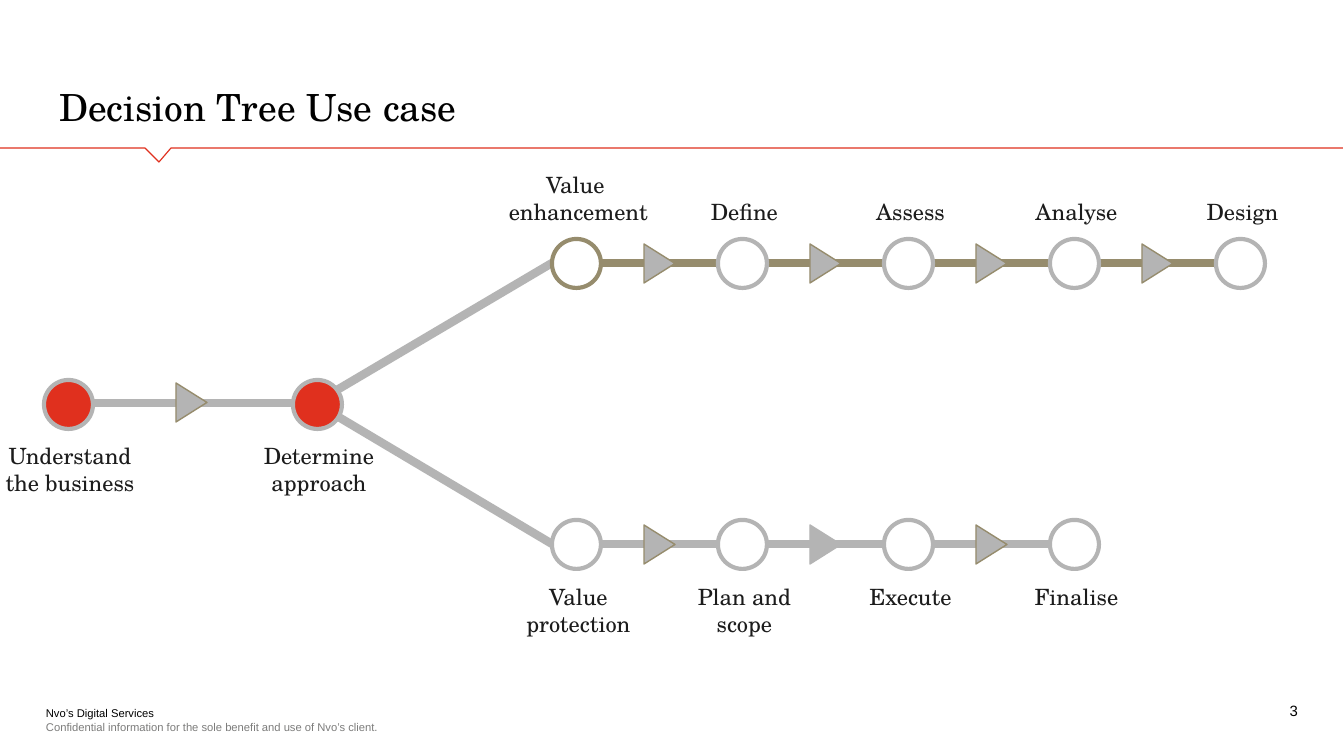
"""Build the decision tree slide with its two branches of steps."""
import pptx
import pptx.util
import pptx.dml.color
import pptx.enum.shapes
import pptx.enum.text
import pptx.oxml.ns
import lxml.etree

PIXEL = 914400 / 134.4
SERIF = "TeX Gyre Schola"
GREY, TAN, RED, WHITE, INK = "B4B4B4", "968C6D", "E0301E", "FFFFFF", "1C1C1C"
SHAPES = pptx.enum.shapes.MSO_SHAPE
ANCHOR = pptx.enum.text.MSO_ANCHOR
ALIGN = pptx.enum.text.PP_ALIGN
RGB = pptx.dml.color.RGBColor.from_string

deck = pptx.Presentation()
deck.slide_width = round(1344 * PIXEL)
deck.slide_height = round(756 * PIXEL)
page = deck.slides.add_slide(deck.slide_layouts[6])


def add_text(text, *, at, size=12, font=SERIF, color=INK, align=ALIGN.LEFT,
             anchor=ANCHOR.TOP, inset=(0, 0), wrap=True):
    box = page.shapes.add_textbox(*[round(value * PIXEL) for value in at])
    frame = box.text_frame
    frame.word_wrap = wrap
    frame.vertical_anchor = anchor
    frame.margin_left = frame.margin_right = pptx.util.Inches(inset[0])
    frame.margin_top = frame.margin_bottom = pptx.util.Inches(inset[1])
    para = frame.paragraphs[0]
    para.alignment = align
    for index, line in enumerate(text.split("\n")):
        if index:
            para.add_line_break()
        span = para.add_run()
        span.text = line
        span.font.size = pptx.util.Pt(size)
        span.font.name = font
        span.font.color.rgb = RGB(color)


def add_mark(kind, at, fill, line, width, turn=0):
    mark = page.shapes.add_shape(kind, *[round(value * PIXEL) for value in at])
    mark.rotation = turn
    mark.shadow.inherit = False
    mark.fill.solid()
    mark.fill.fore_color.rgb = RGB(fill)
    mark.line.color.rgb = RGB(line)
    mark.line.width = pptx.util.Pt(width)


add_text("Nvo’s Digital Services", at=(46, 706, 376, 13), size=6, font="Arial", color="000000")

pen = page.shapes.build_freeform(1343, 148, scale=PIXEL)
pen.add_line_segments([(171, 148), (159, 162), (145, 148), (0, 148)], close=False)
rule = pen.convert_to_shape()
rule.shadow.inherit = False
rule.fill.background()
rule.line.color.rgb = RGB(RED)
rule.line.width = pptx.util.Pt(0.63)

add_text("Confidential information for the sole benefit and use of Nvo’s client.",
         at=(46, 721, 426, 13), size=6, font="Arial", color="7C7C7B", anchor=ANCHOR.MIDDLE)
add_text("3", at=(985, 702, 313, 17), size=8, font="Arial", color="000000",
         align=ALIGN.RIGHT, anchor=ANCHOR.MIDDLE)

tracks = [
    (315, 403, 552, 263, GREY),
    (569, 263, 1239, 263, TAN),
    (569, 544, 1087, 544, GREY),
    (315, 403, 552, 544, GREY),
    (63, 403, 312, 403, GREY),
]
for *ends, color in tracks:
    track = page.shapes.add_connector(pptx.enum.shapes.MSO_CONNECTOR.STRAIGHT,
                                      *[round(value * PIXEL) for value in ends])
    track.line.color.rgb = RGB(color)
    track.line.width = pptx.util.Pt(4.5)
    properties = track._element.spPr
    lxml.etree.SubElement(properties, pptx.oxml.ns.qn("a:effectLst"))

STEP = 166
branches = [
    (239, 165, ANCHOR.BOTTOM, ["Value \nenhancement", "Define", "Assess", "Analyse", "Design"],
     [TAN, GREY, GREY, GREY, GREY], [TAN, TAN, TAN, TAN]),
    (520, 583, ANCHOR.TOP, ["Value\nprotection", "Plan and\nscope", "Execute", "Finalise"],
     [GREY, GREY, GREY, GREY], [TAN, GREY, TAN]),
]
for top, label_top, anchor, labels, rings, arrows in branches:
    for index, (label, ring) in enumerate(zip(labels, rings)):
        shift = index * STEP
        add_mark(SHAPES.OVAL, (552 + shift, top, 49, 49), WHITE, ring, 2.25)
        add_text(label, at=(493 + shift, label_top, 171, 60), align=ALIGN.CENTER, anchor=anchor)
    for index, outline in enumerate(arrows):
        add_mark(SHAPES.ISOSCELES_TRIANGLE, (640 + index * STEP, top + 9, 39, 31),
                 GREY, outline, 0.75, turn=90)

add_mark(SHAPES.ISOSCELES_TRIANGLE, (172, 387, 39, 31), GREY, TAN, 0.75, turn=90)
for index, label in enumerate(["Understand\nthe business", "Determine\napproach"]):
    shift = index * 249
    add_mark(SHAPES.OVAL, (44 + shift, 380, 49, 49), RED, GREY, 2.25)
    add_text(label, at=(-6 + shift, 442, 152, 60), align=ALIGN.CENTER, wrap=False)

add_text("Decision Tree Use case", at=(46, 78, 1253, 46), size=20, color="000000",
         inset=(0.1, 0.05))

deck.save("out.pptx")
